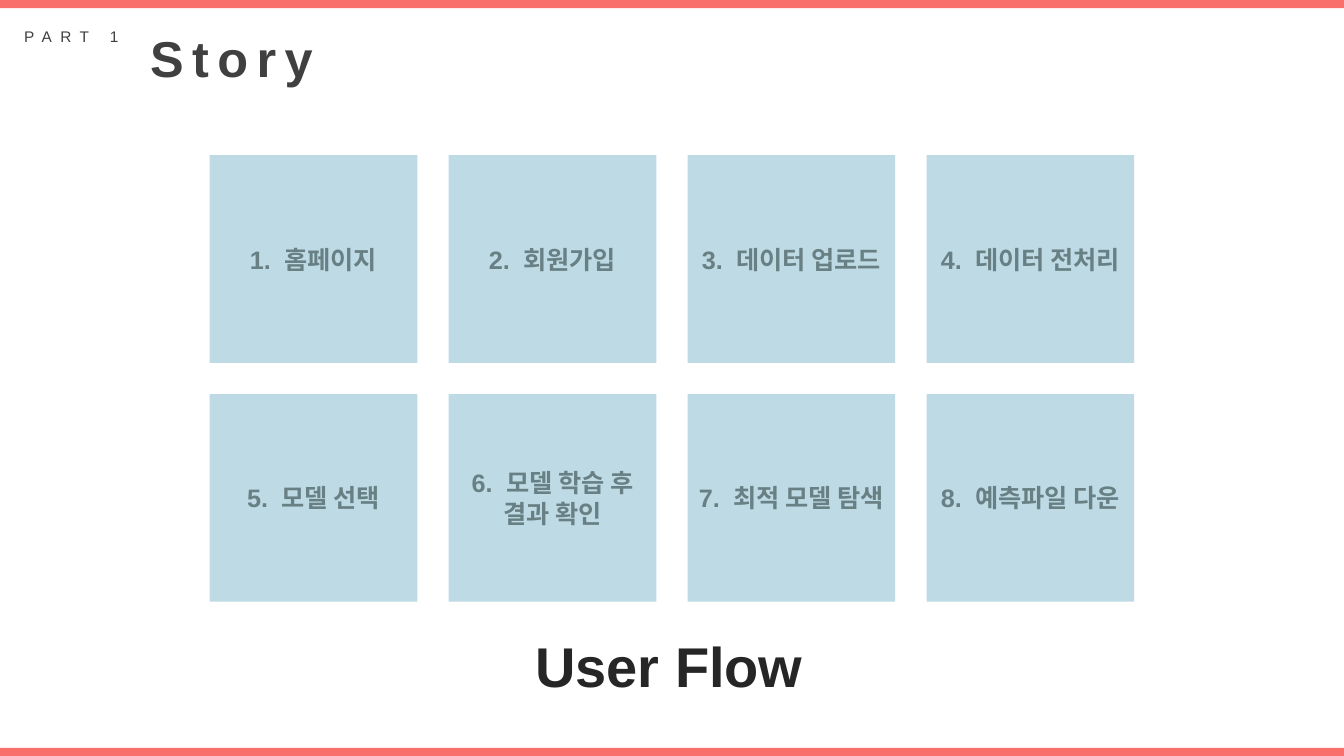
"""Build the user flow slide with its eight numbered step tiles."""
from dataclasses import dataclass

from pptx import Presentation
from pptx import util as u
from pptx.dml.color import RGBColor
from pptx.enum import shapes, text


@dataclass(frozen=True)
class Theme:
    font: str = "Arial"
    accent: str = "F86F6C"
    tile: str = "BEDAE5"
    tile_text: str = "688084"
    heading: str = "404040"
    caption: str = "262626"
    heading_size: int = 36
    caption_size: int = 40
    tile_size: int = 18
    label_size: int = 11
    heading_tracking: int = 600
    number_tracking: int = 460


class SlideBuilder:
    def __init__(self, page, theme):
        self.page = page
        self.theme = theme

    def style(self, para, size, color, bold):
        para.font.name = self.theme.font
        para.font.size = u.Pt(size)
        para.font.bold = bold
        para.font.color.rgb = RGBColor.from_string(color)

    def track(self, span, amount):
        span._r.get_or_add_rPr().set("spc", str(amount))

    def rectangle(self, left, top, width, height, color):
        box = self.page.shapes.add_shape(
            shapes.MSO_SHAPE.RECTANGLE,
            *map(u.Inches, (left, top, width, height)))
        box.shadow.inherit = False
        box.fill.solid()
        box.fill.fore_color.rgb = RGBColor.from_string(color)
        box.line.fill.background()
        return box

    def tile(self, left, top, side, number, lines):
        frame = self.rectangle(left, top, side, side, self.theme.tile).text_frame
        frame.word_wrap = True
        frame.margin_left = frame.margin_right = u.Inches(0.05)
        frame.vertical_anchor = text.MSO_ANCHOR.MIDDLE
        for index, line in enumerate(lines):
            para = frame.add_paragraph() if index else frame.paragraphs[0]
            para.alignment = text.PP_ALIGN.CENTER
            self.style(para, self.theme.tile_size, self.theme.tile_text, True)
            if index == 0:
                para.add_run().text = f"{number}."
                gap = para.add_run()
                gap.text = " "
                self.track(gap, self.theme.number_tracking)
            para.add_run().text = line

    def fill_text(self, box, place, words, size, color, bold, tracking=0):
        box.left, box.top, box.width, box.height = map(u.Inches, place)
        frame = box.text_frame
        frame.word_wrap = False
        frame.auto_size = text.MSO_AUTO_SIZE.SHAPE_TO_FIT_TEXT
        frame.vertical_anchor = text.MSO_ANCHOR.TOP
        para = frame.paragraphs[0]
        para.alignment = text.PP_ALIGN.LEFT
        self.style(para, size, color, bold)
        span = para.add_run()
        span.text = words
        if tracking:
            self.track(span, tracking)

    def title(self, place, words):
        self.fill_text(self.page.shapes.title, place, words,
                       self.theme.heading_size, self.theme.heading, True,
                       self.theme.heading_tracking)

    def label(self, place, *content):
        box = self.page.shapes.add_textbox(*map(u.Inches, place))
        self.fill_text(box, place, *content)


STEPS = [
    ["홈페이지"], ["회원가입"], ["데이터 업로드"], ["데이터 전처리"],
    ["모델 선택"], ["모델 학습 후", "결과 확인"], ["최적 모델 탐색"], ["예측파일 다운"],
]
COLUMNS, SIDE, PITCH = 4, 2.06, 2.37
GRID_LEFT, GRID_TOP = 2.08, 1.54
WIDTH, HEIGHT, BAND = 13.33, 7.5, 0.08


def main():
    theme = Theme()
    deck = Presentation()
    deck.slide_width, deck.slide_height = u.Inches(WIDTH), u.Inches(HEIGHT)
    builder = SlideBuilder(deck.slides.add_slide(deck.slide_layouts[5]), theme)

    for index, lines in enumerate(STEPS):
        row, column = divmod(index, COLUMNS)
        builder.tile(GRID_LEFT + column * PITCH, GRID_TOP + row * PITCH,
                     SIDE, index + 1, lines)
    builder.label((5.21, 6.22, 2.88, 0.77), "User Flow",
                  theme.caption_size, theme.caption, True)
    for top in (0, HEIGHT - BAND):
        builder.rectangle(0, top, WIDTH, BAND, theme.accent)
    builder.title((1.39, 0.22, 1.91, 0.71), "Story")
    builder.label((0.14, 0.22, 1.25, 0.29), "PART 1", theme.label_size,
                  theme.heading, False, theme.heading_tracking)
    deck.save("out.pptx")


if __name__ == "__main__":
    main()
